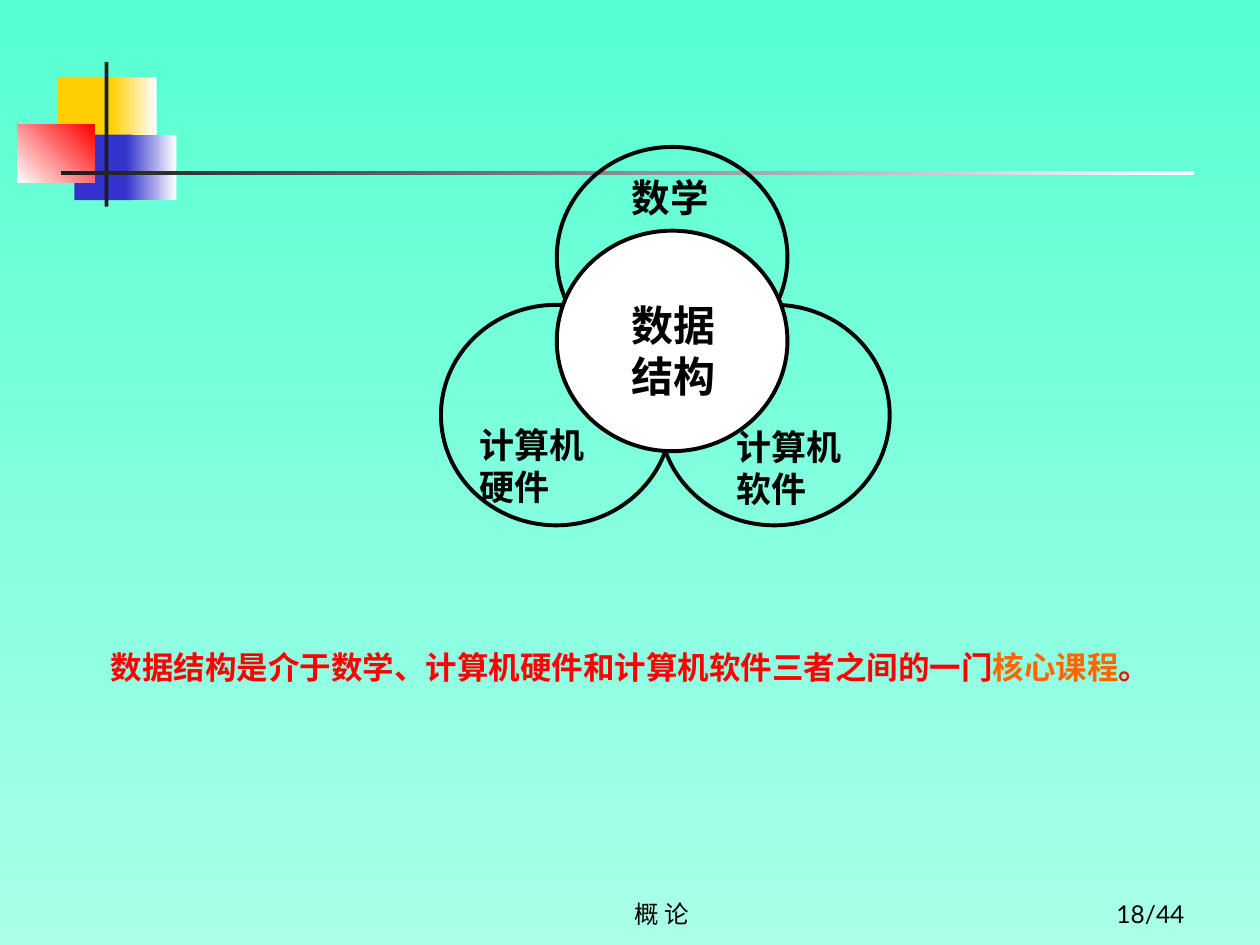
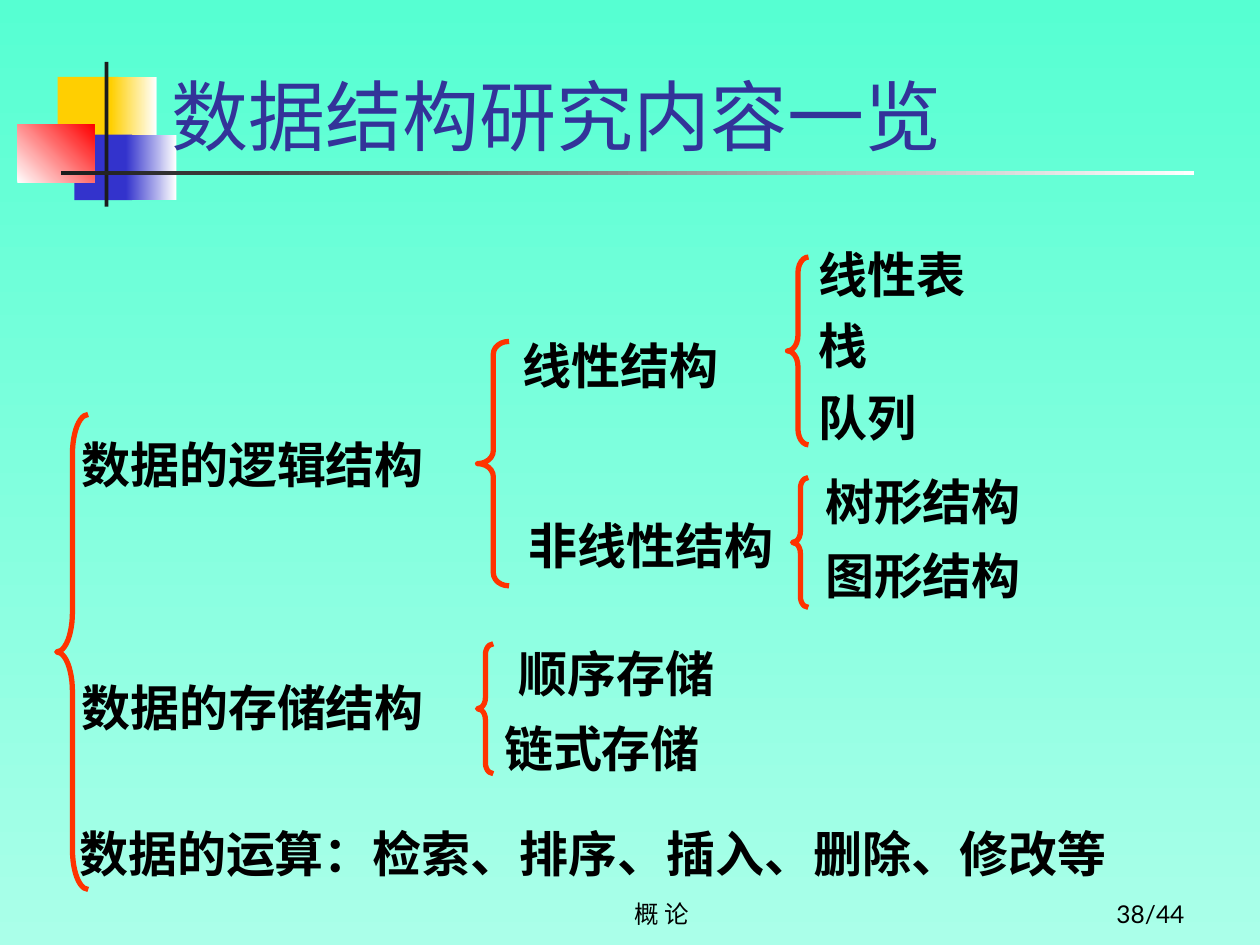
import pptx
import pptx.dml.color
import pptx.enum.shapes
import pptx.enum.text
import pptx.util

Pt = pptx.util.Pt
Shape = pptx.enum.shapes.MSO_SHAPE
Align = pptx.enum.text.PP_ALIGN
Anchor = pptx.enum.text.MSO_ANCHOR

BLACK, WHITE, DARK = "000000", "FFFFFF", "1C1C1C"
YELLOW, BLUE, RED, ORANGE = "FFCF01", "3333CC", "FF0000", "FF6600"
TITLE_COLOR, BRACE_COLOR = "333399", "FF3300"
BACKGROUND = ("56FFD2", "AAFFE9")

LABEL_FONT = {"name": "Times New Roman", "size": Pt(28), "bold": True}
FOOTER_FONT = {"name": "Lato", "size": Pt(14)}
SENTENCE_FONT = {"name": "Arial", "size": Pt(18), "bold": True}
TITLE_FONT = {"name": "Times New Roman", "size": Pt(44), "bold": False}

# left, top, width, height, colours, gradient angle
DECORATIONS = [
    (33, 44, 34.6, 37.4, (YELLOW,), 0),
    (63.4, 44, 26, 37.4, (YELLOW, WHITE), 0),
    (42.5, 77, 33, 37.4, (BLUE,), 0),
    (72, 77, 28.8, 37.4, (BLUE, WHITE), 0),
    (10, 71.3, 44, 33.1, (WHITE, RED), 45),
    (59.8, 35.3, 2.2, 82.8, (DARK,), 0),
    (34.6, 97.9, 648, 2.2, (DARK, WHITE), 0),
]

CIRCLE_WIDTH, CIRCLE_HEIGHT = 131.8, 126
# left, top, filled
CIRCLES = [
    (318.2, 84, False),
    (252, 174.2, False),
    (376.6, 174.2, False),
    (318.2, 131.8, True),
]
# text, box, font size
CIRCLE_LABELS = [
    ("数学", (354, 95.8, 72, 34), 22),
    ("计算机硬件", (267, 238.3, 85.7, 55.4), 20),
    ("计算机软件", (414, 239.8, 84, 55.4), 20),
    ("数据结构", (354, 167.8, 84, 64.8), 24),
]

# box, share of the height taken by each bend
BRACES = [
    ((32.4, 236.9, 18, 271.4), 1 / 12),
    ((272.9, 367.9, 9, 74.2), 1 / 12),
    ((272.9, 195.1, 18, 139.7), 1 / 19),
    ((450, 146.9, 12, 107.3), 1 / 12),
    ((452.9, 272.9, 9, 74.2), 1 / 12),
]
# text, left, top
TERMS = [
    ("数据的逻辑结构", 39.4, 244.8),
    ("数据的存储结构", 39.4, 383.8),
    ("数据的运算：检索、排序、插入、删除、修改等", 38.2, 467.3),
    ("线性结构", 291.4, 188),
    ("非线性结构", 295, 290.9),
    ("顺序存储", 289.4, 364.3),
    ("链式存储", 281, 406.8),
    ("线性表", 460.8, 136),
    ("栈", 460.8, 177),
    ("队列", 460.8, 218),
    ("树形结构", 464.4, 265.7),
    ("图形结构", 464.4, 308.2),
]


def rgb(color):
    return pptx.dml.color.RGBColor.from_string(color)


def points(box):
    return [Pt(length) for length in box]


def set_fill(fill, colors, angle=0):
    """Fill with nothing, one colour, or a gradient of two."""
    if not colors:
        fill.background()
    elif len(colors) == 1:
        fill.solid()
        fill.fore_color.rgb = rgb(colors[0])
    else:
        fill.gradient()
        fill.gradient_angle = angle
        for stop, color in zip(fill.gradient_stops, colors):
            stop.color.rgb = rgb(color)


def add_shape(slide, kind, box, colors=(), angle=0, line=None, line_width=0):
    shape = slide.shapes.add_shape(kind, *points(box))
    shape.shadow.inherit = False
    set_fill(shape.fill, colors, angle)
    if line:
        shape.line.color.rgb = rgb(line)
        shape.line.width = Pt(line_width)
    else:
        shape.line.fill.background()
    return shape


def add_run(paragraph, text, font, color=BLACK):
    run = paragraph.add_run()
    run.text = text
    for attribute, value in font.items():
        setattr(run.font, attribute, value)
    run.font.color.rgb = rgb(color)


def add_text(slide, box, runs, font, wrap=True, align=Align.LEFT, anchor=Anchor.TOP):
    """Add a one-paragraph text box; runs is a list of (text, colour)."""
    frame = slide.shapes.add_textbox(*points(box)).text_frame
    frame.word_wrap = wrap
    frame.vertical_anchor = anchor
    paragraph = frame.paragraphs[0]
    paragraph.alignment = align
    for text, color in runs:
        add_run(paragraph, text, font, color)


def add_brace(slide, box, bend):
    brace = add_shape(slide, Shape.LEFT_BRACE, box, line=BRACE_COLOR, line_width=3)
    width, height = box[2:]
    brace.adjustments[0] = bend * height / width


def add_footer(slide, number):
    for text, left, width, align in [
        ("概 论", 264, 228, Align.CENTER),
        (f"{number}/44", 534, 150, Align.RIGHT),
    ]:
        add_text(slide, (left, 498, width, 36), [(text, BLACK)], FOOTER_FONT,
                 align=align, anchor=Anchor.BOTTOM)


def format_title(slide, text):
    title = slide.shapes.title
    place = dict(zip(("left", "top", "width", "height"), points((90.7, 5.8, 613.4, 90))))
    for attribute, value in place.items():
        setattr(title, attribute, value)
    title.text_frame.vertical_anchor = Anchor.BOTTOM
    paragraph = title.text_frame.paragraphs[0]
    paragraph.alignment = Align.LEFT
    add_run(paragraph, text, TITLE_FONT, TITLE_COLOR)


def decorate_master(presentation, slide):
    """Draw the shared decoration on a slide and move it to the master."""
    master = presentation.slide_master
    set_fill(master.background.fill, BACKGROUND, 270)
    for *box, colors, angle in DECORATIONS:
        shape = add_shape(slide, Shape.RECTANGLE, box, colors, angle)
        master.shapes.element.append(shape.element)


def build_circles(slide):
    for left, top, filled in CIRCLES:
        box = (left, top, CIRCLE_WIDTH, CIRCLE_HEIGHT)
        add_shape(slide, Shape.OVAL, box, (WHITE,) if filled else (),
                  line=BLACK, line_width=2.25)
    for text, box, size in CIRCLE_LABELS:
        add_text(slide, box, [(text, BLACK)], {**LABEL_FONT, "size": Pt(size)})
    sentence = [
        ("数据结构是介于数学、计算机硬件和计算机软件三者之间的一门", RED),
        ("核心课程", ORANGE),
        ("。", RED),
    ]
    add_text(slide, (56.2, 366.5, 608.4, 28.8), sentence, SENTENCE_FONT, wrap=False)


def build_overview(slide):
    format_title(slide, "数据结构研究内容一览")
    for box, bend in BRACES:
        add_brace(slide, box, bend)
    for text, left, top in TERMS:
        width = len(text) * 28 + 14.4
        add_text(slide, (left, top, width, 41), [(text, BLACK)], LABEL_FONT, wrap=False)


def main():
    presentation = pptx.Presentation()
    presentation.slide_width, presentation.slide_height = Pt(720), Pt(540)
    title_only, blank = presentation.slide_layouts[5], presentation.slide_layouts[6]

    circles = presentation.slides.add_slide(blank)
    decorate_master(presentation, circles)
    add_footer(circles, 18)
    build_circles(circles)

    overview = presentation.slides.add_slide(title_only)
    add_footer(overview, 38)
    build_overview(overview)

    presentation.save("out.pptx")


if __name__ == "__main__":
    main()
